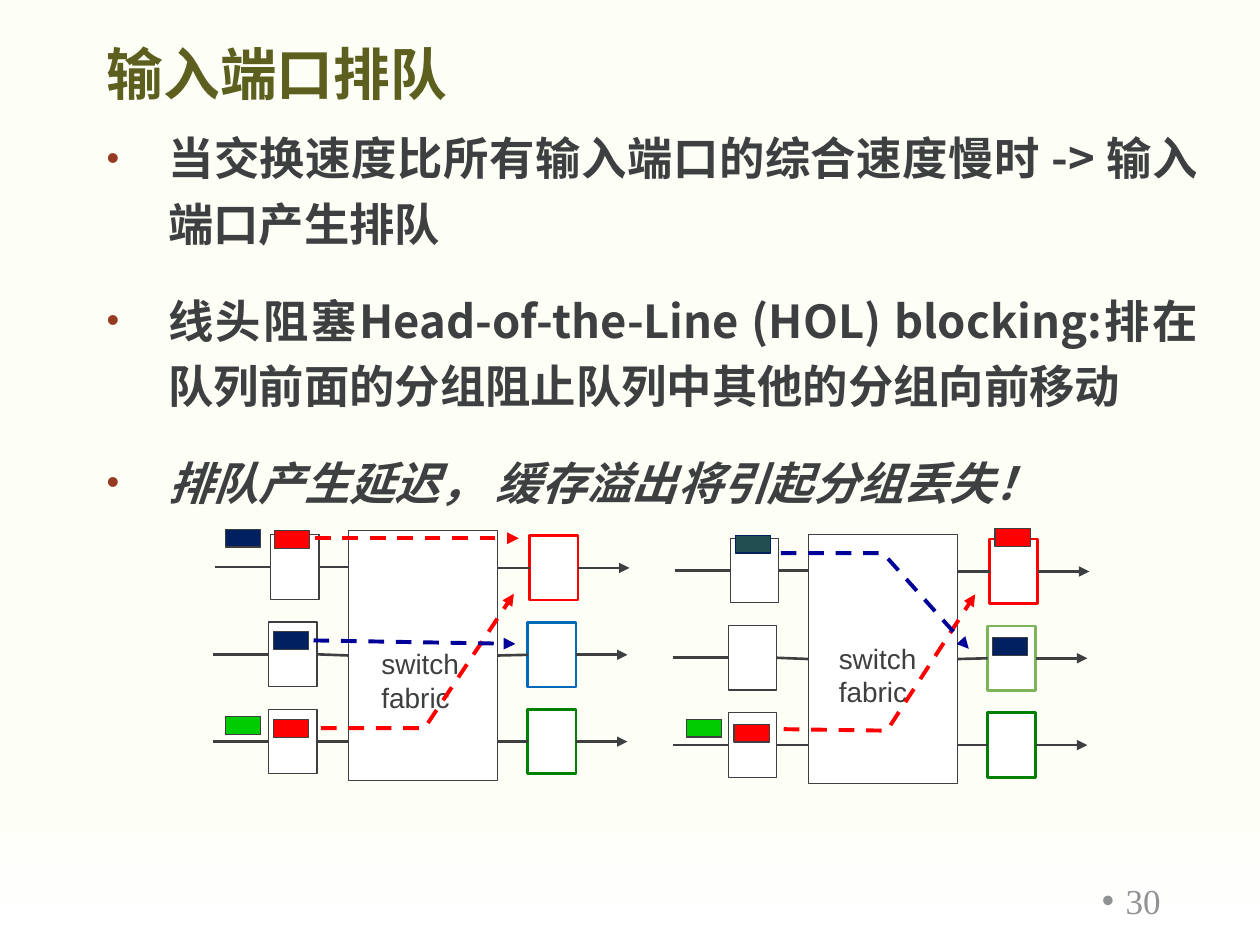
from dataclasses import dataclass

from lxml.etree import SubElement
from pptx import Presentation
from pptx.dml.color import RGBColor
from pptx.enum.dml import MSO_LINE
from pptx.enum.shapes import MSO_CONNECTOR, MSO_SHAPE
from pptx.enum.text import MSO_ANCHOR, PP_ALIGN
from pptx.oxml.ns import qn
from pptx.util import Cm, Pt


@dataclass(frozen=True)
class Theme:
    # Colours
    paper: str = "FDFFF7"
    white: str = "FFFFFF"
    title: str = "5D5F1F"
    ink: str = "3D3F41"
    bullet: str = "963B22"
    muted: str = "919293"
    red: str = "FF0000"
    navy: str = "002060"
    blue: str = "0069B8"
    route_blue: str = "000099"
    green: str = "008000"
    lime: str = "00CC00"
    leaf: str = "7DB359"
    teal: str = "204E51"
    # Fonts, type sizes and line widths
    sans: str = "Arial"
    cjk: str = "Noto Sans CJK SC"
    serif: str = "Times New Roman"
    title_pt: float = 32.4
    body_pt: float = 25.9
    page_pt: float = 20
    label_pt: float = 16
    thin: float = 0.75
    wire: float = 1.5
    route: float = 2.25


T = Theme()
PORT_W, PORT_H = 0.97, 1.3
PACKET_W, PACKET_H = 0.71, 0.36


def rgb(color):
    return RGBColor.from_string(color)


def style_text(p, font, size, color, bold=None, italic=None):
    for r in p.runs:
        f = r.font
        f.name, f.size, f.bold, f.italic = font, Pt(size), bold, italic
        f.color.rgb = rgb(color)
        SubElement(r._r.get_or_add_rPr(), qn("a:ea"), typeface=T.cjk)


def add_bullet(p, indent, color=None, percent=None):
    pPr = p._p.get_or_add_pPr()
    pPr.set("marL", str(Cm(indent)))
    pPr.set("indent", str(-Cm(indent)))
    if color:
        SubElement(SubElement(pPr, qn("a:buClr")), qn("a:srgbClr"), val=color)
    if percent:
        SubElement(pPr, qn("a:buSzPct"), val=str(percent * 1000))
    SubElement(pPr, qn("a:buFont"), typeface=T.sans)
    SubElement(pPr, qn("a:buChar"), char="•")


def add_text(s, x, y, w, h, text, anchor=MSO_ANCHOR.TOP, wrap=True):
    tf = s.shapes.add_textbox(Cm(x), Cm(y), Cm(w), Cm(h)).text_frame
    tf.word_wrap, tf.vertical_anchor = wrap, anchor
    tf.text = text
    return tf


def add_box(s, x, y, w, h, fill, line, width=T.thin):
    sp = s.shapes.add_shape(MSO_SHAPE.RECTANGLE, Cm(x), Cm(y), Cm(w), Cm(h))
    sp.shadow.inherit = False
    sp.fill.solid()
    sp.fill.fore_color.rgb = rgb(fill)
    sp.line.color.rgb = rgb(line)
    sp.line.width = Pt(width)
    return sp


def style_line(line, color, width, arrow=False, dashed=False):
    line.color.rgb = rgb(color)
    line.width = Pt(width)
    if dashed:
        line.dash_style = MSO_LINE.DASH
    if arrow:
        SubElement(line._get_or_add_ln(), qn("a:tailEnd"), type="triangle")


def add_line(s, x1, y1, x2, y2, *style):
    c = s.shapes.add_connector(MSO_CONNECTOR.STRAIGHT, Cm(x1), Cm(y1), Cm(x2), Cm(y2))
    style_line(c.line, *style)
    SubElement(c._element.spPr, qn("a:effectLst"))
    return c


def add_route(s, color, points):
    """Dashed arrow through two or more points."""
    style = (color, T.route, True, True)
    if len(points) == 2:
        add_line(s, *points[0], *points[1], *style)
        return
    start, *rest = [(Cm(x), Cm(y)) for x, y in points]
    builder = s.shapes.build_freeform(*start)
    builder.add_line_segments(rest, close=False)
    sp = builder.convert_to_shape()
    sp.shadow.inherit = False
    sp.fill.background()
    style_line(sp.line, *style)


def add_heading(s, x, y, w, h):
    p = add_text(s, x, y, w, h, "输入端口排队", MSO_ANCHOR.BOTTOM).paragraphs[0]
    p.line_spacing = 0.9
    style_text(p, T.sans, T.title_pt, T.title, bold=True)


def add_body(s, x, y, w, h):
    points = [
        "当交换速度比所有输入端口的综合速度慢时 -> 输入端口产生排队",
        "线头阻塞Head-of-the-Line (HOL) blocking:排在队列前面的分组阻止队列中其他的分组向前移动",
        "排队产生延迟， 缓存溢出将引起分组丢失！",
    ]
    tf = add_text(s, x, y, w, h, "\n".join(points))
    for i, p in enumerate(tf.paragraphs):
        p.alignment, p.line_spacing = PP_ALIGN.JUSTIFY, 1.2
        p.space_before = Pt(18 if i else 0)
        add_bullet(p, 1.24, T.bullet, 80)
        style_text(p, T.cjk, T.body_pt, T.ink, bold=True, italic=i == 2 or None)


def add_page_number(s, x, y, w, h):
    p = add_text(s, x, y, w, h, "30", MSO_ANCHOR.MIDDLE).paragraphs[0]
    p.alignment = PP_ALIGN.RIGHT
    add_bullet(p, 0.48)
    style_text(p, T.serif, T.page_pt, T.muted)


def add_switch(s, x, y, out_colors, packets, routes, label):
    """Three input ports, a switch fabric and three output ports."""
    left, right = x + 2.74, x + 5.74
    fabric = add_box(s, left, y + 0.03, right - left, 5.03, T.white, T.ink)
    for row, color in enumerate(out_colors):
        # The top row sits slightly further right
        px = x + (0.04 if row == 0 else 0)
        in_y, out_y = y + 0.11 + 1.76 * row, y + 0.13 + 1.75 * row
        in_mid, out_mid = in_y + PORT_H / 2, out_y + PORT_H / 2
        source = add_box(s, px + 1.13, in_y, PORT_W, PORT_H, T.white, T.ink)
        sink = add_box(s, px + 6.35, out_y, PORT_W, PORT_H, T.white, color, T.wire)
        wire = (T.ink, T.wire)
        add_line(s, px, in_mid, px + 1.13, in_mid, *wire).end_connect(source, 1)
        into = add_line(s, px + 2.1, in_mid, left, in_mid, *wire)
        into.begin_connect(source, 3)
        out = add_line(s, right, out_mid, px + 6.35, out_mid, *wire)
        out.end_connect(sink, 1)
        if row == 1:
            into.end_connect(fabric, 1)
            out.begin_connect(fabric, 3)
        leave = add_line(s, px + 7.32, out_mid, px + 8.36, out_mid, *wire, True)
        leave.begin_connect(sink, 3)
    for color, dx, dy in packets:
        edge = T.navy if color == T.teal else T.ink
        add_box(s, x + dx, y + dy, PACKET_W, PACKET_H, color, edge)
    dx, dy = label
    tf = add_text(s, x + dx, y + dy, 2.08, 1.63, "switch\nfabric", wrap=False)
    for p in tf.paragraphs:
        style_text(p, T.sans, T.label_pt, T.ink)
    for color, points in routes:
        add_route(s, color, [(x + dx, y + dy) for dx, dy in points])


def main():
    prs = Presentation()
    prs.slide_width, prs.slide_height = Cm(25.4), Cm(19.05)
    s = prs.slides.add_slide(prs.slide_layouts[6])

    # Background
    fill = s.background.fill
    fill.gradient()
    fill.gradient_angle = 270
    for stop, position, color in zip(fill.gradient_stops, (0.84, 1), (T.paper, T.white)):
        stop.position, stop.color.rgb = position, rgb(color)

    # Text
    add_heading(s, 1.9, 1.02, 21.59, 1.27)
    add_body(s, 1.9, 2.29, 22.5, 8.38)
    add_page_number(s, 17.93, 17.65, 5.72, 1.02)

    # Contention: two red packets want the same output
    add_switch(
        s, 4.29, 10.67, (T.red, T.blue, T.green),
        [(T.red, 1.24, 0.03), (T.navy, 1.22, 2.06), (T.red, 1.22, 3.84),
         (T.navy, 0.25, 0), (T.lime, 0.25, 3.78)],
        [(T.red, [(2.06, 0.18), (6.17, 0.18)]),
         (T.red, [(2.18, 4.01), (4.27, 4.01), (6.07, 1.3)]),
         (T.route_blue, [(2.03, 2.24), (6.1, 2.31)])],
        (3.15, 2.24))

    # Next step: the green packet waits behind the red one
    add_switch(
        s, 13.56, 10.74, (T.red, T.leaf, T.green),
        [(T.red, 6.5, -0.08), (T.teal, 1.27, 0.05), (T.red, 1.24, 3.86),
         (T.lime, 0.28, 3.76), (T.navy, 6.45, 2.11)],
        [(T.red, [(2.24, 3.96), (4.32, 3.99), (6.1, 1.24)]),
         (T.route_blue, [(2.18, 0.41), (4.24, 0.41), (5.97, 2.34)])],
        (3.1, 2.06))

    prs.save("out.pptx")


if __name__ == "__main__":
    main()
